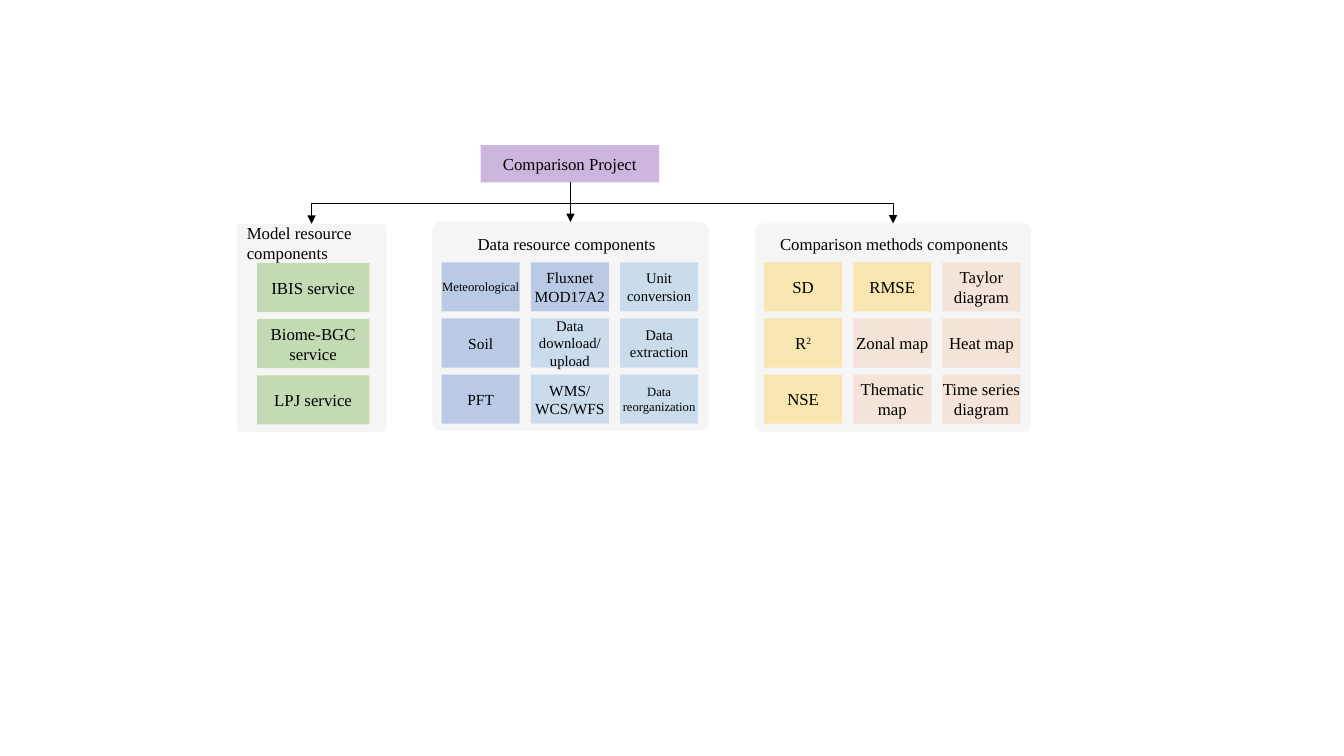
from lxml import etree
from pptx import Presentation
from pptx.dml.color import RGBColor
from pptx.enum import shapes, text
from pptx.oxml.ns import qn
from pptx.util import Pt

FONT = "Times New Roman"
BLACK = RGBColor(0, 0, 0)
GRAY = RGBColor(0xA5, 0xA5, 0xA5), 10
PURPLE = RGBColor(0x70, 0x30, 0xA0), 35
GREEN = RGBColor(0x70, 0xAD, 0x47), 37
BLUE = RGBColor(0x44, 0x72, 0xC4), 33
SKY = RGBColor(0x5B, 0x9B, 0xD5), 28
GOLD = RGBColor(0xFF, 0xC0, 0x00), 28
PEACH = RGBColor(0xF4, 0xB1, 0x83), 25

ROOT = "Comparison Project", (343.4, 103.7, 127.4, 26.6)
GROUPS = [
    dict(title="Model resource\ncomponents", head=(169.2, 155.5, 164.9, 36), wrap=True,
         panel=(169.2, 159.8, 106.6, 149), round=0.031, left=183.6, top=187.9, width=80.2,
         rows=[[("IBIS service", 12, GREEN)],
               [("Biome-BGC service", 12, GREEN)],
               [("LPJ service", 12, GREEN)]]),
    dict(title="Data resource components", head=(334.1, 163.4, 143.3, 21.6), wrap=False,
         panel=(308.9, 158.6, 197.3, 149), round=0.037, left=315.5, top=187.4, width=55.7,
         rows=[[("Meteorological", 9, BLUE), ("Fluxnet\nMOD17A2", 11, BLUE),
                ("Unit conversion", 10.5, SKY)],
               [("Soil", 11, BLUE), ("Data download/\nupload", 10.5, SKY),
                ("Data extraction", 10.5, SKY)],
               [("PFT", 11, BLUE), ("WMS/\nWCS/WFS", 11, SKY),
                ("Data reorganization", 9, SKY)]]),
    dict(title="Comparison methods components", head=(550.1, 163.4, 180, 21.6), wrap=False,
         panel=(539.3, 159.6, 197.3, 149), round=0.037, left=545.8, top=187.4, width=55.7,
         rows=[[("SD", 12, GOLD), ("RMSE", 12, GOLD), ("Taylor\ndiagram", 12, PEACH)],
               [("R^2", 12, GOLD), ("Zonal map", 12, PEACH), ("Heat map", 12, PEACH)],
               [("NSE", 12, GOLD), ("Thematic map", 12, PEACH),
                ("Time series\ndiagram", 12, PEACH)]]),
]
HIGH, ROW, COL = 35.1, 40.1, 63.7

deck = Presentation()
deck.slide_width, deck.slide_height = Pt(960), Pt(540)
slide = deck.slides.add_slide(deck.slide_layouts[6])


def write(frame, words, size, align):
    for i, line in enumerate(words.split("\n")):
        para = frame.paragraphs[0] if i == 0 else frame.add_paragraph()
        para.alignment = align
        for j, part in enumerate(line.split("^")):
            run = para.add_run()
            run.text = part
            run.font.name, run.font.size = FONT, Pt(size)
            run.font.color.rgb = BLACK
            if j:
                run.font._element.set("baseline", "30000")


def box(kind, place, paint):
    shape = slide.shapes.add_shape(kind, *map(Pt, place))
    shape.shadow.inherit = False
    shape.line.fill.background()
    color, alpha = paint
    shape.fill.solid()
    shape.fill.fore_color.rgb = color
    tint = shape._element.spPr.find(qn("a:solidFill"))[0]
    etree.SubElement(tint, qn("a:alpha")).set("val", str(alpha * 1000))
    return shape


def tile(words, size, paint, place):
    shape = box(shapes.MSO_SHAPE.RECTANGLE, place, paint)
    frame = shape.text_frame
    frame.margin_left = frame.margin_right = frame.margin_top = frame.margin_bottom = 0
    frame.vertical_anchor = text.MSO_ANCHOR.MIDDLE
    frame.word_wrap = True
    write(frame, words, size, text.PP_ALIGN.CENTER)


def arrow(x, y, to, down):
    run, drop = to - x, down - y
    midx, midy = (x + to) / 2, (y + down) / 2
    side = drop / 2 if run < 0 else -drop / 2
    ends = midx - side, midy - abs(run) / 2, midx + side, midy + abs(run) / 2
    link = slide.shapes.add_connector(shapes.MSO_CONNECTOR.ELBOW, *map(Pt, ends))
    link.line.color.rgb, link.line.width = BLACK, Pt(0.5)
    props = link._element.spPr
    props.find(qn("a:xfrm")).set("rot", str((90 if run < 0 else 270) * 60000))
    etree.SubElement(props.find(qn("a:ln")), qn("a:tailEnd")).set("type", "triangle")
    etree.SubElement(props, qn("a:effectLst"))


name, spot = ROOT
tile(name, 12, PURPLE, spot)
for group in GROUPS:
    panel = box(shapes.MSO_SHAPE.ROUNDED_RECTANGLE, group["panel"], GRAY)
    panel.adjustments[0] = group["round"]
    head = slide.shapes.add_textbox(*map(Pt, group["head"])).text_frame
    head.word_wrap = group["wrap"]
    write(head, group["title"], 12, text.PP_ALIGN.LEFT)
    for r, row in enumerate(group["rows"]):
        for c, (words, size, paint) in enumerate(row):
            place = group["left"] + c * COL, group["top"] + r * ROW, group["width"], HIGH
            tile(words, size, paint, place)

for group in GROUPS:
    left, top, width, _ = group["panel"]
    arrow(spot[0] + spot[2] / 2, spot[1] + spot[3], left + width / 2, top)

deck.save("out.pptx")
